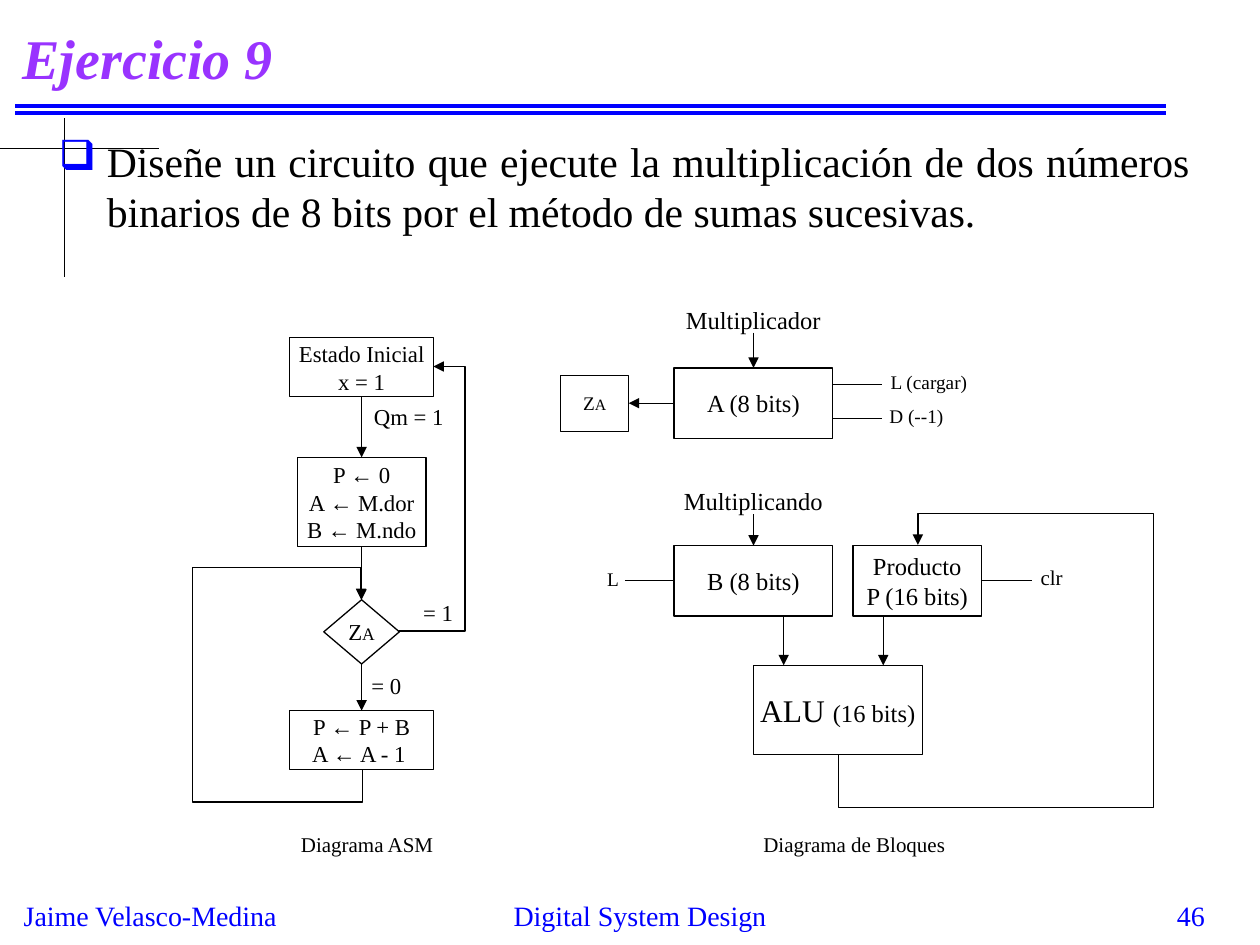
from dataclasses import dataclass
from typing import Optional

from lxml import etree
from pptx import Presentation
from pptx.dml.color import RGBColor
from pptx.enum.shapes import MSO_CONNECTOR, MSO_SHAPE
from pptx.enum.text import MSO_ANCHOR, PP_ALIGN
from pptx.oxml.ns import qn
from pptx.util import Inches, Pt

FONT = "Times New Roman"
BLACK = RGBColor(0x00, 0x00, 0x00)
WHITE = RGBColor(0xFF, 0xFF, 0xFF)
BLUE = RGBColor(0x00, 0x00, 0xFF)
PURPLE = RGBColor(0x99, 0x33, 0xFF)
STRAIGHT, ELBOW = MSO_CONNECTOR.STRAIGHT, MSO_CONNECTOR.ELBOW
RECT, PROCESS = MSO_SHAPE.RECTANGLE, MSO_SHAPE.FLOWCHART_PROCESS
DECISION = MSO_SHAPE.FLOWCHART_DECISION
LEFT, CENTER, RIGHT = PP_ALIGN.LEFT, PP_ALIGN.CENTER, PP_ALIGN.RIGHT
JUSTIFY = PP_ALIGN.JUSTIFY
TOP_SIDE, LEFT_SIDE, BOTTOM_SIDE, RIGHT_SIDE = range(4)


@dataclass
class Block:
    name: str
    text: str
    at: tuple
    size: float
    kind: int = RECT
    suffix: str = ""
    suffix_size: float = 0
    line: RGBColor = BLACK
    weight: float = 0.75


@dataclass
class Label:
    text: str
    at: tuple
    size: float
    color: RGBColor = BLACK
    align: int = LEFT
    wrap: bool = False


@dataclass
class Wire:
    start: tuple
    end: tuple
    arrow: bool = False
    color: RGBColor = BLACK
    weight: float = 0.75
    source: Optional[tuple] = None
    target: Optional[tuple] = None


@dataclass
class Route:
    """Elbow arrow; start and end are given before the rotation is applied."""
    start: tuple
    end: tuple
    preset: str
    adjust: tuple
    rotation: int = 0


BLOCKS = [
    Block("inicial", "Estado Inicial\nx = 1", (2.3, 2.68, 1.14, 0.47), 13, PROCESS),
    Block("carga", "P ← 0\nA ← M.dor\nB ← M.ndo", (2.36, 3.63, 1.02, 0.71), 13, PROCESS),
    Block("prueba", "Z", (2.57, 4.76, 0.6, 0.51), 13, DECISION, "A", 10),
    Block("suma", "P ← P + B\nA ← A - 1 ", (2.3, 5.64, 1.14, 0.47), 13, PROCESS),
    Block("alu", "ALU ", (5.98, 5.28, 1.34, 0.71), 18, RECT, "(16 bits)", 14),
    Block("b", "B (8 bits)", (5.35, 4.33, 1.26, 0.56), 14),
    Block("p", "Producto\nP (16 bits)", (6.77, 4.33, 1.02, 0.56), 14),
    Block("a", "A (8 bits)", (5.35, 2.92, 1.26, 0.56), 14),
    Block("za", "Z", (4.45, 2.98, 0.54, 0.44), 11, RECT, "A", 9, weight=0.25),
    Block("multiplicador", "Multiplicador", (5.35, 2.43, 1.26, 0.21), 14, line=WHITE),
    Block("multiplicando", "Multiplicando", (5.35, 3.87, 1.26, 0.21), 14, line=WHITE),
]

LABELS = [
    Label("Jaime Velasco-Medina", (0.09, 7.08, 2.4, 0.37), 16, BLUE),
    Label("Digital System Design", (3.33, 7.08, 3.5, 0.33), 16, BLUE, CENTER, True),
    Label("46", (7.58, 7.08, 2.08, 0.25), 16, BLUE, RIGHT, True),
    Label("Qm = 1", (2.87, 3.15, 0.8, 0.32), 13),
    Label("= 1", (3.26, 4.7, 0.5, 0.32), 13),
    Label("= 0", (2.85, 5.28, 0.5, 0.32), 13),
    Label("Diagrama ASM", (2.29, 6.55, 1.35, 0.3), 12),
    Label("Diagrama de Bloques", (5.96, 6.55, 1.75, 0.3), 12),
    Label("L (cargar)", (6.97, 2.89, 0.9, 0.29), 11),
    Label("D (--1)", (6.96, 3.16, 0.7, 0.29), 11),
    Label("L", (4.72, 4.45, 0.38, 0.29), 11),
    Label("clr", (8.16, 4.43, 0.45, 0.3), 12),
]
STATEMENT = Label(
    "Diseñe un circuito que ejecute la multiplicación de dos números "
    "binarios de 8 bits por el método de sumas sucesivas.",
    (0.37, 1.03, 9.17, 1.37), 23.8, BLACK, JUSTIFY, True)

FRAME = [
    Wire((0.12, 0.84), (9.25, 0.84), color=BLUE, weight=2.25),
    Wire((0.12, 0.9), (9.25, 0.9), color=BLUE, weight=2.25),
    Wire((0, 1.18), (1.26, 1.18)),
    Wire((0.51, 0.94), (0.51, 2.2)),
]
SIGNALS = [
    Wire((6.22, 4.89), (6.22, 5.28), True),
    Wire((7.01, 4.89), (7.01, 5.28), True),
    Wire((6.61, 3.05), (7, 3.05)),
    Wire((6.61, 3.32), (7, 3.32)),
    Wire((4.96, 4.61), (5.35, 4.61), target=("b", LEFT_SIDE)),
    Wire((7.79, 4.61), (8.19, 4.61), source=("p", RIGHT_SIDE)),
    Wire((5.35, 3.2), (4.99, 3.2), True, source=("a", LEFT_SIDE), target=("za", RIGHT_SIDE)),
]
DOWNWARD = [("inicial", "carga"), ("carga", "prueba"), ("prueba", "suma"),
            ("multiplicador", "a"), ("multiplicando", "b")]
ROUTES = [
    Route((2.19, 5.44), (3.55, 5.43), "bentConnector5", (-0.184, 137, 1.184), 270),
    Route((3.17, 5.01), (3.44, 2.91), "bentConnector3", (1.93,)),
    Route((7.8, 5.47), (6.14, 4.84), "bentConnector5", (-0.257, 3.97, 1.15), 90),
]


def style_runs(tf, size: float, color: RGBColor, align: int) -> None:
    for p in tf.paragraphs:
        p.alignment = align
        for r in p.runs:
            r.font.name, r.font.size = FONT, Pt(size)
            r.font.color.rgb = color


def add_block(s, block: Block):
    sp = s.shapes.add_shape(block.kind, *map(Inches, block.at))
    sp.shadow.inherit = False
    if block.line == WHITE:
        sp.fill.solid()
        sp.fill.fore_color.rgb = WHITE
    else:
        sp.fill.background()
    sp.line.color.rgb, sp.line.width = block.line, Pt(block.weight)
    tf = sp.text_frame
    tf.text = block.text
    tf.word_wrap = False
    tf.vertical_anchor = MSO_ANCHOR.MIDDLE
    if block.suffix:
        tf.paragraphs[0].add_run().text = block.suffix
    style_runs(tf, block.size, BLACK, CENTER)
    if block.suffix:
        tf.paragraphs[0].runs[-1].font.size = Pt(block.suffix_size)
    return sp


def add_label(s, label: Label):
    tf = s.shapes.add_textbox(*map(Inches, label.at)).text_frame
    tf.text = label.text
    tf.word_wrap = label.wrap
    style_runs(tf, label.size, label.color, label.align)
    return tf


def add_bullet(p) -> None:
    pPr = p._p.get_or_add_pPr()
    pPr.set("marL", str(Inches(0.38)))
    pPr.set("indent", str(-Inches(0.38)))
    color = etree.SubElement(pPr, qn("a:buClr"))
    etree.SubElement(color, qn("a:srgbClr"), val=str(BLUE))
    etree.SubElement(pPr, qn("a:buChar"), char="❑")


def add_line(s, kind: int, start: tuple, end: tuple, color: RGBColor, weight: float, arrow: bool):
    c = s.shapes.add_connector(kind, *map(Inches, start + end))
    c.line.color.rgb, c.line.width = color, Pt(weight)
    if arrow:
        etree.SubElement(c.line._get_or_add_ln(), qn("a:tailEnd"), type="triangle")
    etree.SubElement(c._element.spPr, qn("a:effectLst"))
    return c


def add_wire(s, wire: Wire, shapes: dict) -> None:
    c = add_line(s, STRAIGHT, wire.start, wire.end, wire.color, wire.weight, wire.arrow)
    if wire.source:
        c.begin_connect(shapes[wire.source[0]], wire.source[1])
    if wire.target:
        c.end_connect(shapes[wire.target[0]], wire.target[1])


def add_route(s, route: Route) -> None:
    c = add_line(s, ELBOW, route.start, route.end, BLACK, 0.75, True)
    spPr = c._element.spPr
    spPr.find(qn("a:xfrm")).set("rot", str(route.rotation * 60000))
    geometry = spPr.find(qn("a:prstGeom"))
    geometry.set("prst", route.preset)
    guides = geometry.find(qn("a:avLst"))
    for i, value in enumerate(route.adjust, 1):
        etree.SubElement(guides, qn("a:gd"), name=f"adj{i}", fmla=f"val {round(value * 100000)}")


def main() -> None:
    prs = Presentation()
    prs.slide_width, prs.slide_height = Inches(10), Inches(7.5)
    s = prs.slides.add_slide(prs.slide_layouts[5])

    title = s.shapes.title
    title.left, title.top, title.width, title.height = map(Inches, (0.08, 0.08, 9.17, 0.75))
    tf = title.text_frame
    tf.text = "Ejercicio 9"
    tf.vertical_anchor = MSO_ANCHOR.MIDDLE
    style_runs(tf, 32, PURPLE, LEFT)
    font = tf.paragraphs[0].runs[0].font
    font.bold = font.italic = True

    for wire in FRAME:
        add_wire(s, wire, {})
    add_bullet(add_label(s, STATEMENT).paragraphs[0])
    shapes = {block.name: add_block(s, block) for block in BLOCKS}
    for label in LABELS:
        add_label(s, label)
    for upper, lower in DOWNWARD:
        add_wire(s, Wire((0, 0), (0, 0), True, source=(upper, BOTTOM_SIDE),
                         target=(lower, TOP_SIDE)), shapes)
    for wire in SIGNALS:
        add_wire(s, wire, shapes)
    for route in ROUTES:
        add_route(s, route)
    prs.save("out.pptx")


if __name__ == "__main__":
    main()
